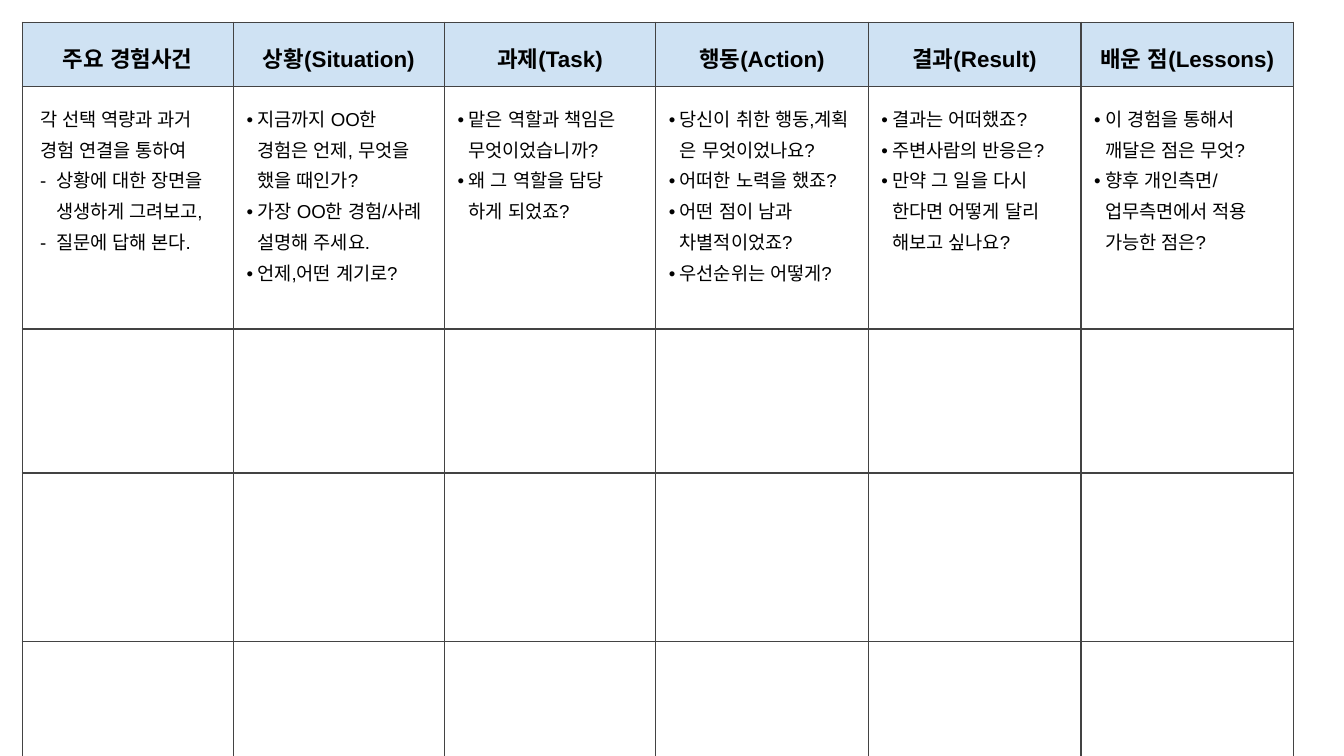
import pptx
import pptx.util
import pptx.dml.color
import pptx.enum.text
from lxml import etree
from pptx.oxml.ns import qn

Cm = pptx.util.Cm
Pt = pptx.util.Pt
RGBColor = pptx.dml.color.RGBColor

BLACK = RGBColor(0x00, 0x00, 0x00)
BORDER = RGBColor(0x43, 0x43, 0x43)
HEADER = RGBColor(0xCF, 0xE2, 0xF3)
FONT = "Arial"
LINE_SPACING = 1.48

COL_WIDTHS = [3.99] * 3 + [4.02] * 3
ROW_HEIGHTS = [1.21, 4.59, 2.72, 3.18, 2.44]
HEADINGS = ["주요 경험사건", "상황(Situation)", "과제(Task)",
            "행동(Action)", "결과(Result)", "배운 점(Lessons)"]
GUIDES = [
    [("", ["각 선택 역량과 과거", "경험 연결을 통하여"]),
     ("-", ["상황에 대한 장면을", "생생하게 그려보고,"]),
     ("-", ["질문에 답해 본다."])],
    [("•", ["지금까지 OO한", "경험은 언제, 무엇을", "했을 때인가?"]),
     ("•", ["가장 OO한 경험/사례", "설명해 주세요."]),
     ("•", ["언제,어떤 계기로?"])],
    [("•", ["맡은 역할과 책임은", "무엇이었습니까?"]),
     ("•", ["왜 그 역할을 담당", "하게 되었죠?"])],
    [("•", ["당신이 취한 행동,계획", "은 무엇이었나요?"]),
     ("•", ["어떠한 노력을 했죠?"]),
     ("•", ["어떤 점이 남과", "차별적이었죠?"]),
     ("•", ["우선순위는 어떻게?"])],
    [("•", ["결과는 어떠했죠?"]),
     ("•", ["주변사람의 반응은?"]),
     ("•", ["만약 그 일을 다시", "한다면 어떻게 달리", "해보고 싶나요?"])],
    [("•", ["이 경험을 통해서", "깨달은 점은 무엇?"]),
     ("•", ["향후 개인측면/", "업무측면에서 적용", "가능한 점은?"])],
]
INDENTS = {"": (0.09, 0), "-": (0.39, 0.3), "•": (0.21, 0.21)}


class SlideBuilder:
    def __init__(self, prs):
        self.s = prs.slides.add_slide(prs.slide_layouts[6])

    def table(self, left, top, col_widths, row_heights):
        sp = self.s.shapes.add_table(
            len(row_heights), len(col_widths), Cm(left), Cm(top),
            Cm(sum(col_widths)), Cm(sum(row_heights)))
        table = sp.table
        table.first_row = False
        table.horz_banding = False
        for column, width in zip(table.columns, col_widths):
            column.width = Cm(width)
        for row, height in zip(table.rows, row_heights):
            row.height = Cm(height)
        for cell in table.iter_cells():
            self.plain_cell(cell)
        return table

    def plain_cell(self, cell):
        cell.margin_left = cell.margin_right = Cm(0.25)
        cell.margin_top = cell.margin_bottom = Cm(0.25)
        tcPr = cell._tc.get_or_add_tcPr()
        for side in ("lnL", "lnR", "lnT", "lnB"):
            ln = etree.SubElement(tcPr, qn("a:" + side), w=str(Pt(0.75)))
            fill = etree.SubElement(ln, qn("a:solidFill"))
            etree.SubElement(fill, qn("a:srgbClr"), val=str(BORDER))
        cell.fill.background()

    def run(self, p, text, size, bold=False):
        r = p.add_run()
        r.text = text
        r.font.size = Pt(size)
        r.font.bold = bold
        r.font.color.rgb = BLACK
        r.font.name = FONT
        etree.SubElement(r.font._element, qn("a:ea"), typeface=FONT)

    def heading(self, cell, text):
        cell.fill.solid()
        cell.fill.fore_color.rgb = HEADER
        p = cell.text_frame.paragraphs[0]
        p.alignment = pptx.enum.text.PP_ALIGN.CENTER
        p.line_spacing = LINE_SPACING
        self.run(p, text, 12, True)

    def guide(self, cell, items):
        tf = cell.text_frame
        for i, (bullet, lines) in enumerate(items):
            p = tf.paragraphs[0] if i == 0 else tf.add_paragraph()
            p.line_spacing = LINE_SPACING
            margin, hang = INDENTS[bullet]
            pPr = p._p.get_or_add_pPr()
            pPr.set("marL", str(Cm(margin)))
            pPr.set("indent", str(-Cm(hang)))
            if bullet:
                etree.SubElement(pPr, qn("a:buFont"), typeface=FONT)
                etree.SubElement(pPr, qn("a:buChar"), char=bullet)
            for j, line in enumerate(lines):
                if j:
                    p.add_line_break()
                self.run(p, line, 10)


def main():
    prs = pptx.Presentation()
    prs.slide_width = Cm(25.4)
    prs.slide_height = Cm(14.29)
    builder = SlideBuilder(prs)
    table = builder.table(0.42, 0.42, COL_WIDTHS, ROW_HEIGHTS)
    for col, (heading, items) in enumerate(zip(HEADINGS, GUIDES)):
        builder.heading(table.cell(0, col), heading)
        builder.guide(table.cell(1, col), items)
    prs.save("out.pptx")


if __name__ == "__main__":
    main()
